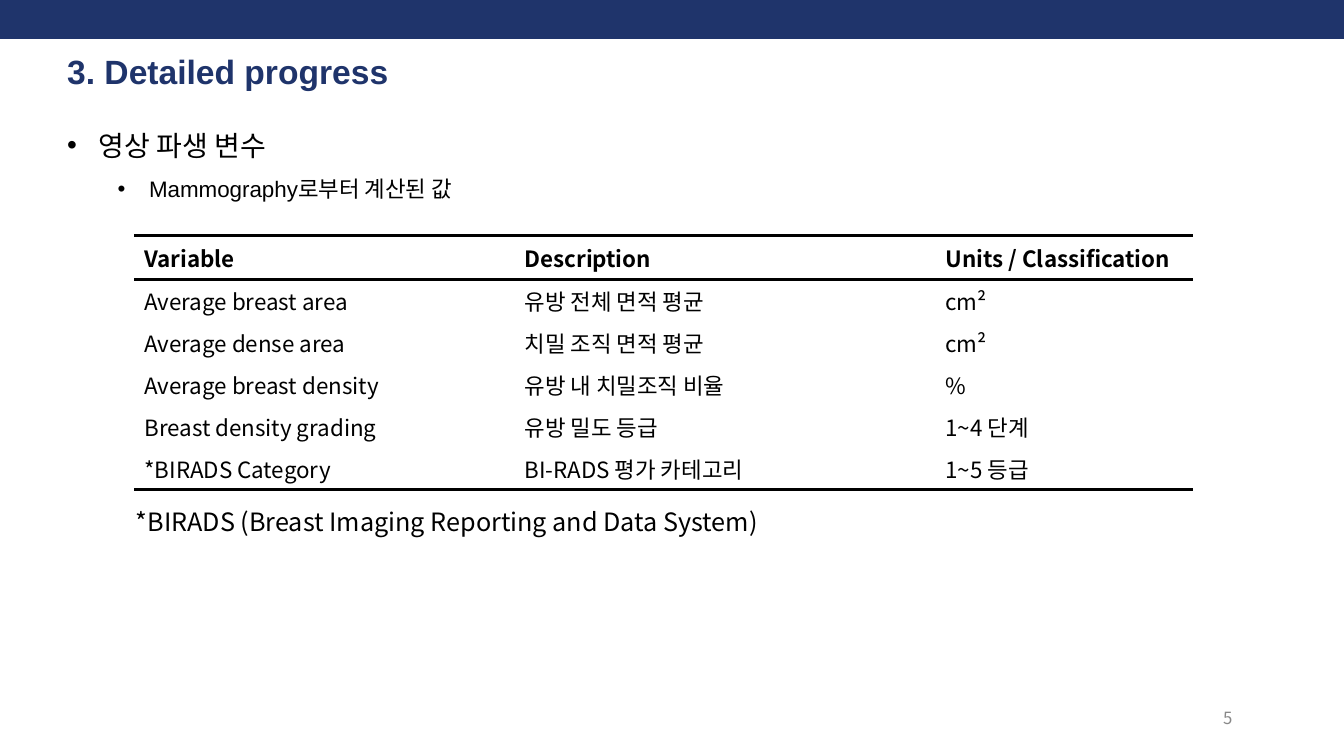
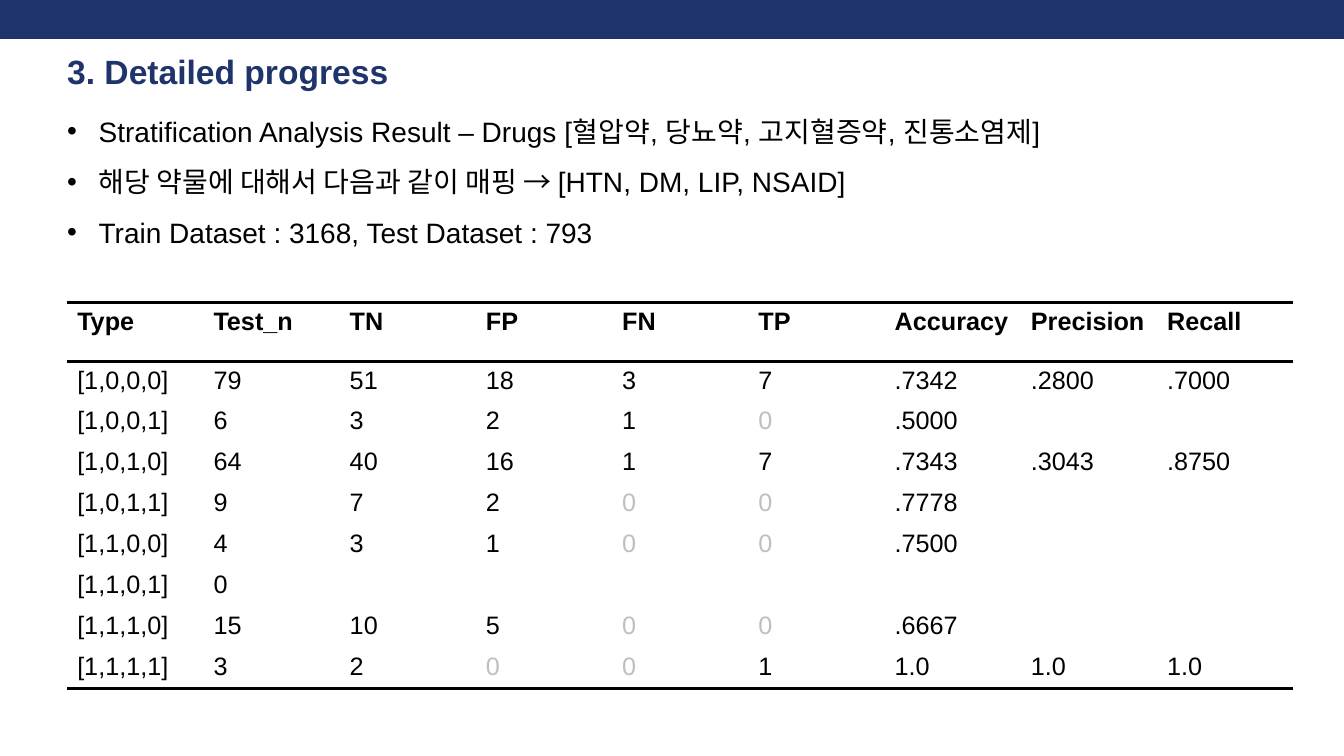
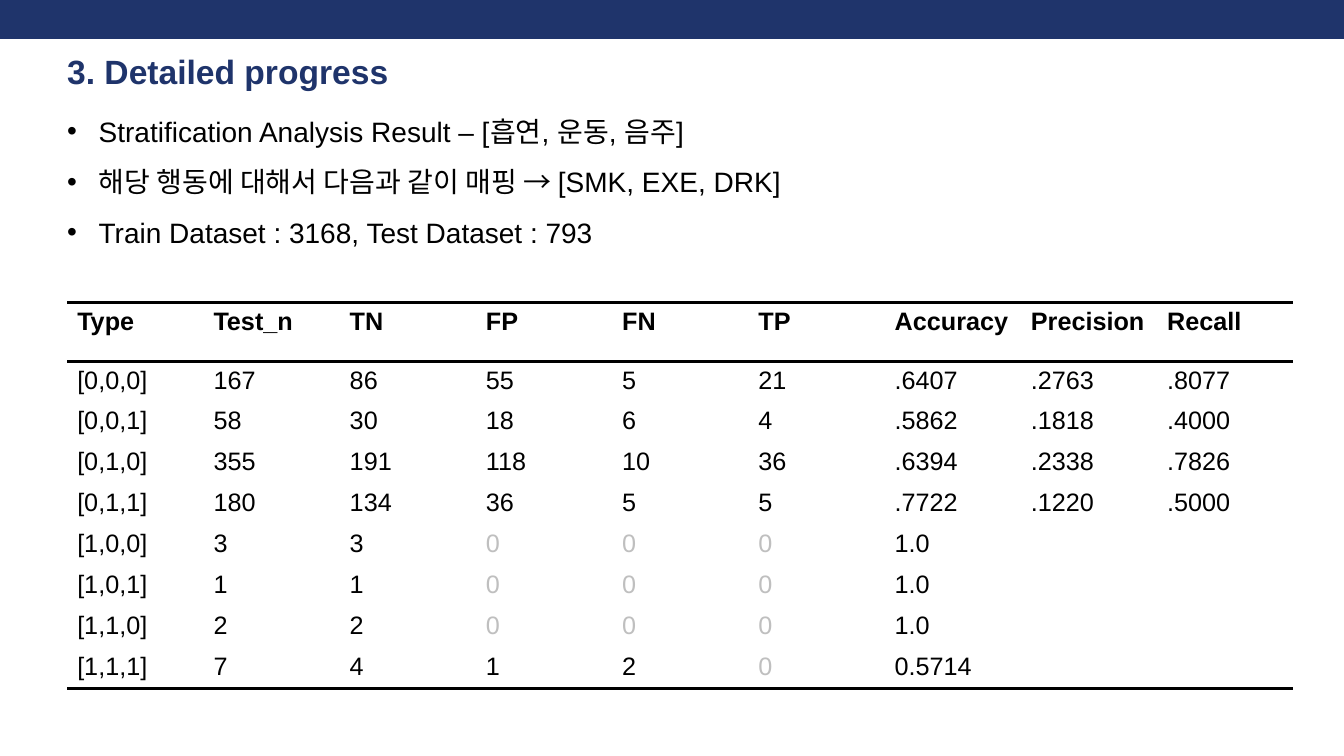
import pptx
import pptx.dml.color
import pptx.enum.shapes
import pptx.enum.text
import pptx.oxml
import pptx.oxml.ns
import pptx.util

PX = 9525
NAVY = pptx.dml.color.RGBColor(0x1F, 0x34, 0x6B)
BLACK = pptx.dml.color.RGBColor(0x00, 0x00, 0x00)
WHITE = pptx.dml.color.RGBColor(0xFF, 0xFF, 0xFF)
GRAY = pptx.dml.color.RGBColor(0x88, 0x88, 0x88)
PALE = pptx.dml.color.RGBColor(0xBF, 0xBF, 0xBF)
LATIN = "Arial"
KOREAN = "Noto Sans CJK KR"
PLAIN_TABLE = "{2D5ABB26-0587-4C30-8999-92F81FD0307C}"
TITLE = "3. Detailed progress"
DATASETS = "Train Dataset : 3168, Test Dataset : 793"

VARIABLES = [
    ["Variable", "Description", "Units / Classification"],
    ["Average breast area", "유방 전체 면적 평균", "cm²"],
    ["Average dense area", "치밀 조직 면적 평균", "cm²"],
    ["Average breast density", "유방 내 치밀조직 비율", "%"],
    ["Breast density grading", "유방 밀도 등급", "1~4 단계"],
    ["*BIRADS Category", "BI-RADS 평가 카테고리", "1~5 등급"],
]
METRICS = ["Type", "Test_n", "TN", "FP", "FN", "TP", "Accuracy", "Precision", "Recall"]
DRUGS = [
    ["[1,0,0,0]", "79", "51", "18", "3", "7", ".7342", ".2800", ".7000"],
    ["[1,0,0,1]", "6", "3", "2", "1", "0", ".5000"],
    ["[1,0,1,0]", "64", "40", "16", "1", "7", ".7343", ".3043", ".8750"],
    ["[1,0,1,1]", "9", "7", "2", "0", "0", ".7778"],
    ["[1,1,0,0]", "4", "3", "1", "0", "0", ".7500"],
    ["[1,1,0,1]", "0"],
    ["[1,1,1,0]", "15", "10", "5", "0", "0", ".6667"],
    ["[1,1,1,1]", "3", "2", "0", "0", "1", "1.0", "1.0", "1.0"],
]
HABITS = [
    ["[0,0,0]", "167", "86", "55", "5", "21", ".6407", ".2763", ".8077"],
    ["[0,0,1]", "58", "30", "18", "6", "4", ".5862", ".1818", ".4000"],
    ["[0,1,0]", "355", "191", "118", "10", "36", ".6394", ".2338", ".7826"],
    ["[0,1,1]", "180", "134", "36", "5", "5", ".7722", ".1220", ".5000"],
    ["[1,0,0]", "3", "3", "0", "0", "0", "1.0"],
    ["[1,0,1]", "1", "1", "0", "0", "0", "1.0"],
    ["[1,1,0]", "2", "2", "0", "0", "0", "1.0"],
    ["[1,1,1]", "7", "4", "1", "2", "0", "0.5714"],
]


def px(*lengths):
    return [pptx.util.Emu(length * PX) for length in lengths]


def style(para, size, color=BLACK, font=LATIN, bold=False):
    for span in para.runs:
        span.font.size = pptx.util.Pt(size)
        span.font.name = font
        span.font.bold = bold
        span.font.color.rgb = color


def set_insets(frame, left=0, top=0, right=0, bottom=0):
    frame.margin_left, frame.margin_top, frame.margin_right, frame.margin_bottom = px(
        left, top, right, bottom)


def add_band(page):
    band = page.shapes.add_shape(
        pptx.enum.shapes.MSO_SHAPE.RECTANGLE, *px(0, 0, 1280, 37))
    band.shadow.inherit = False
    band.fill.solid()
    band.fill.fore_color.rgb = NAVY
    band.line.fill.background()


def add_page(deck):
    page = deck.slides.add_slide(deck.slide_layouts.get_by_name("Title Only"))
    add_band(page)
    title = page.shapes.title
    title.left, title.top, title.width, title.height = px(64, 47, 1192, 40)
    frame = title.text_frame
    frame.text = TITLE
    frame.auto_size = pptx.enum.text.MSO_AUTO_SIZE.NONE
    frame.vertical_anchor = pptx.enum.text.MSO_ANCHOR.TOP
    set_insets(frame, top=1)
    frame.paragraphs[0].alignment = pptx.enum.text.PP_ALIGN.LEFT
    style(frame.paragraphs[0], 24, NAVY, bold=True)
    return page


def add_text(page, text, area, size, color=BLACK, font=KOREAN):
    frame = page.shapes.add_textbox(*px(*area)).text_frame
    frame.word_wrap = True
    frame.text = text
    style(frame.paragraphs[0], size, color, font)
    return frame


def add_bullets(page, area, items):
    frame = page.shapes.add_textbox(*px(*area)).text_frame
    frame.word_wrap = True
    set_insets(frame)
    for index, (text, level) in enumerate(items):
        para = frame.add_paragraph() if index else frame.paragraphs[0]
        para.text = text
        para.level = level
        properties = para._p.get_or_add_pPr()
        properties.set("marL", str((30 + 48 * level) * PX))
        properties.set("indent", str(-30 * PX))
        for tag in (f'buFont {pptx.oxml.ns.nsdecls("a")} typeface="{LATIN}"',
                    f'buChar {pptx.oxml.ns.nsdecls("a")} char="•"'):
            properties.append(pptx.oxml.parse_xml(f"<a:{tag}/>"))
        para.line_spacing = 1.5
        style(para, 20 - 4 * level)


def set_borders(cell, ruled_edges):
    properties = cell._tc.get_or_add_tcPr()
    ruled = f'<a:solidFill><a:srgbClr val="{BLACK}"/></a:solidFill>'
    for position, edge in enumerate("LRTB"):
        paint = ruled if edge in ruled_edges else "<a:noFill/>"
        properties.insert(position, pptx.oxml.parse_xml(
            f'<a:ln{edge} {pptx.oxml.ns.nsdecls("a")} w="{pptx.util.Pt(2.25)}">'
            f'{paint}</a:ln{edge}>'))


def add_ruled_table(page, rows, area, header_height, size, font):
    shape = page.shapes.add_table(len(rows), len(rows[0]), *px(*area))
    table = shape.table
    table.first_row = False
    table.horz_banding = False
    for style_id in shape.element.iter(pptx.oxml.ns.qn("a:tableStyleId")):
        style_id.text = PLAIN_TABLE
    row_height = (area[3] - header_height) // (len(rows) - 1)
    edges = {0: "TB", 1: "T", len(rows) - 1: "B"}
    for row_index, values in enumerate(rows):
        table.rows[row_index].height = px(row_height if row_index else header_height)[0]
        for column_index in range(len(rows[0])):
            cell = table.cell(row_index, column_index)
            cell.fill.solid()
            cell.fill.fore_color.rgb = WHITE
            set_borders(cell, edges.get(row_index, ""))
            if column_index < len(values):
                cell.text = values[column_index]
                pale = column_index > 1 and cell.text == "0"
                style(cell.text_frame.paragraphs[0], size, PALE if pale else BLACK,
                      font, bold=row_index == 0)
    return table


def fill_variables_page(page):
    add_bullets(page, (64, 106, 576, 83),
                [("영상 파생 변수", 0), ("Mammography로부터 계산된 값", 1)])
    table = add_ruled_table(page, VARIABLES, (128, 224, 1008, 242), 42, 16, KOREAN)
    for column, width in zip(table.columns, px(362, 401, 245)):
        column.width = width
    for cell in table.rows[0].cells:
        cell.vertical_anchor = pptx.enum.text.MSO_ANCHOR.MIDDLE
    add_text(page, "*BIRADS (Breast Imaging Reporting and Data System)",
             (120, 477, 639, 38), 18)
    set_insets(add_text(page, "5", (1161, 674, 27, 24), 12, GRAY), left=4)


def fill_results_page(page, subject, mapping, results):
    lines = [f"Stratification Analysis Result – {subject}", mapping, DATASETS]
    add_bullets(page, (64, 93, 1152, 139), [(line, 0) for line in lines])
    add_ruled_table(page, [METRICS] + results, (64, 288, 1168, 368), 56, 18, LATIN)


def main():
    deck = pptx.Presentation()
    deck.slide_width, deck.slide_height = px(1280, 720)
    variables_page, drugs_page, habits_page = [add_page(deck) for _ in range(3)]
    fill_variables_page(variables_page)
    fill_results_page(drugs_page, "Drugs [혈압약, 당뇨약, 고지혈증약, 진통소염제]",
                      "해당 약물에 대해서 다음과 같이 매핑 → [HTN, DM, LIP, NSAID]", DRUGS)
    fill_results_page(habits_page, "[흡연, 운동, 음주]",
                      "해당 행동에 대해서 다음과 같이 매핑 → [SMK, EXE, DRK]", HABITS)
    deck.save("out.pptx")


if __name__ == "__main__":
    main()
